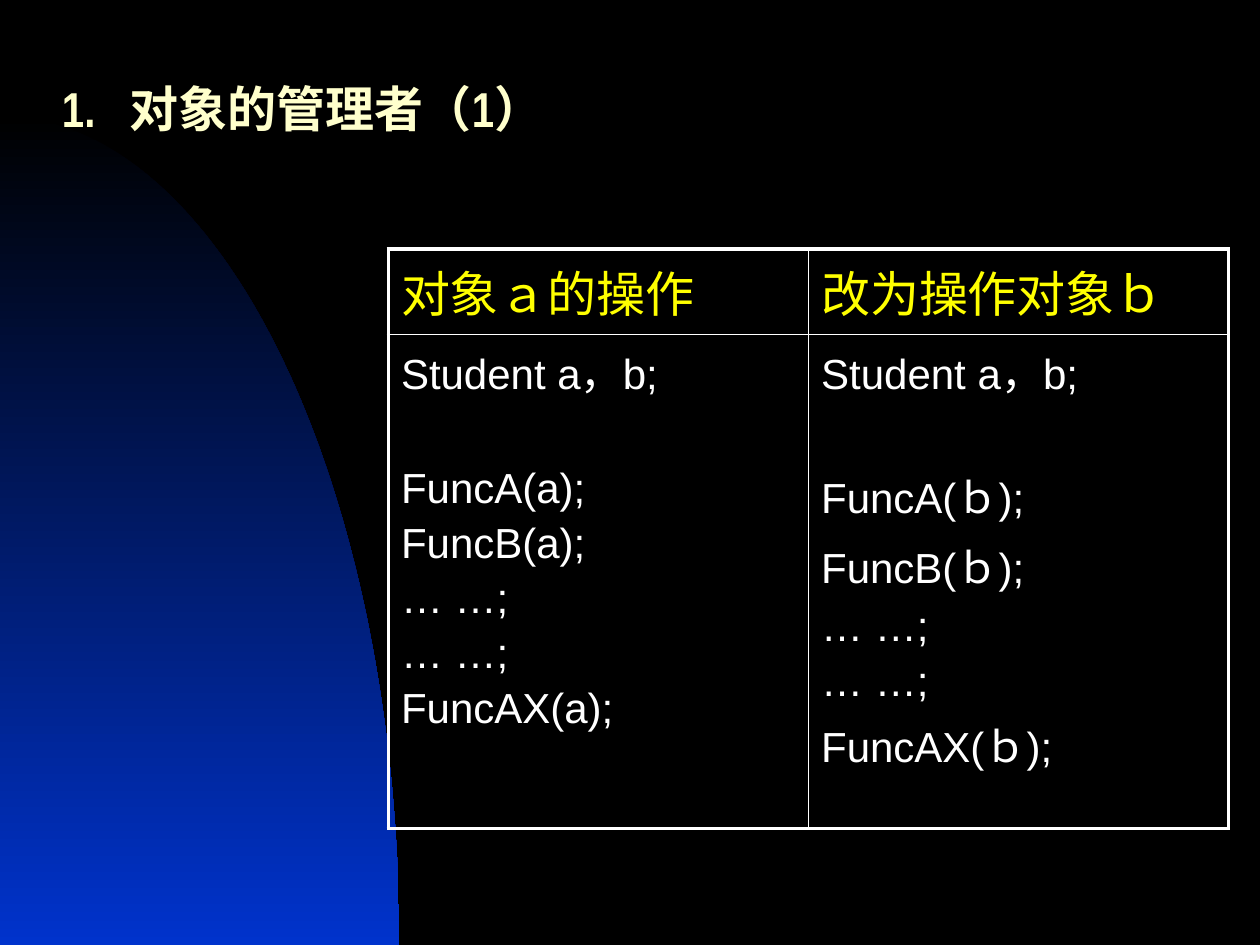
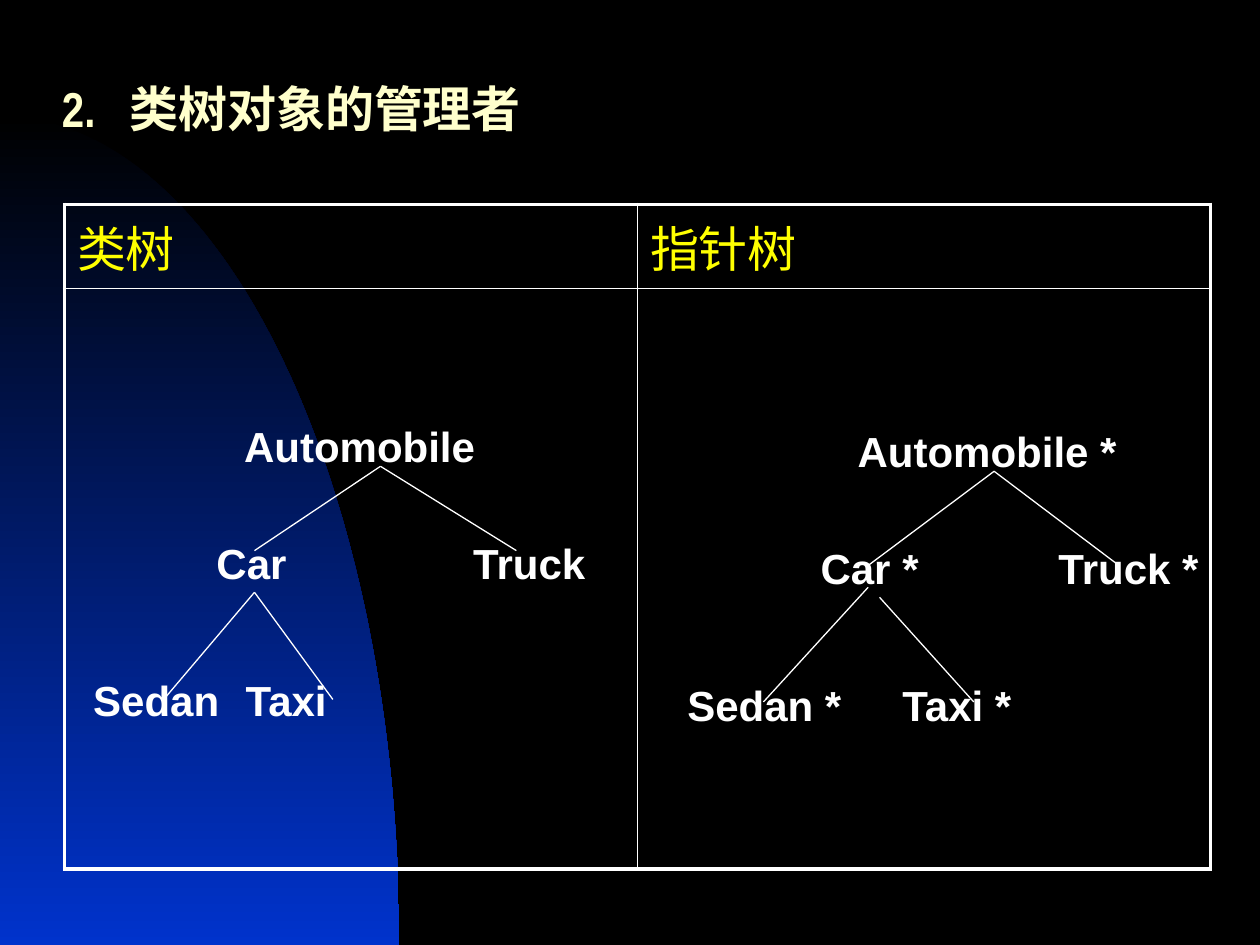
from math import cos, pi, sin

from lxml.etree import SubElement
from pptx import Presentation
from pptx.dml.color import RGBColor
from pptx.enum.shapes import MSO_CONNECTOR
from pptx.enum.text import MSO_ANCHOR, PP_ALIGN
from pptx.oxml.ns import qn
from pptx.util import Cm, Pt

COLORS = {
    "background": "000000",
    "arch": "0033CC",
    "title": "FFFFCC",
    "header": "FFFF00",
    "body": "FFFFFF",
}
CJK_FONT = "Noto Sans CJK SC"
SLIDE_WIDTH, SLIDE_HEIGHT = 25.4, 19.05
OUTER_BORDER, INNER_BORDER = 2.25, 1


def color(name):
    return RGBColor.from_string(COLORS[name])


def style_paragraph(paragraph, text, size, font_name, color_name, bold=False):
    paragraph.text = text
    font = paragraph.font
    font.size, font.name, font.bold = Pt(size), font_name, bold
    font.color.rgb = color(color_name)
    east_asian = SubElement(paragraph._p.pPr.find(qn("a:defRPr")), qn("a:ea"))
    east_asian.set("typeface", CJK_FONT)


# Shared slide parts
def add_arch(slide, left, top, width, height, steps=90):
    """Quarter ellipse that fades from black down to blue."""
    angles = [pi / 2 * step / steps for step in range(steps + 1)]
    points = [
        (Cm(left + width * sin(angle)), Cm(top + height * (1 - cos(angle))))
        for angle in angles
    ]
    builder = slide.shapes.build_freeform(Cm(left), Cm(top + height), scale=1.0)
    builder.add_line_segments(points, close=True)
    arch = builder.convert_to_shape()
    arch.shadow.inherit = False
    arch.line.fill.background()
    arch.fill.gradient()
    arch.fill.gradient_angle = 270
    for stop, name in zip(arch.fill.gradient_stops, ("background", "arch")):
        stop.color.rgb = color(name)


def add_title(slide, number, text, left=1, top=1.32, width=23.5, height=2):
    frame = slide.shapes.add_textbox(
        Cm(left), Cm(top), Cm(width), Cm(height)
    ).text_frame
    frame.word_wrap = True
    frame.vertical_anchor = MSO_ANCHOR.MIDDLE
    paragraph = frame.paragraphs[0]
    paragraph.line_spacing = 0.7
    style_paragraph(paragraph, f"{number}.\t{text}", 28, "Arial Narrow", "title", True)
    # The number hangs to the left of the text
    properties = paragraph._p.pPr
    properties.set("marL", str(Cm(1.36)))
    properties.set("indent", str(-Cm(1.36)))


def add_base_slide(presentation, number, title):
    slide = presentation.slides.add_slide(presentation.slide_layouts[6])
    add_arch(slide, 0, 2.34, 8.05, SLIDE_HEIGHT - 2.34)
    add_title(slide, number, title)
    return slide


# Tables
def set_borders(cell, widths):
    properties = cell._tc.get_or_add_tcPr()
    for position, (side, width) in enumerate(widths.items()):
        line = properties.makeelement(qn(f"a:ln{side}"), {"w": str(Pt(width))})
        fill = SubElement(line, qn("a:solidFill"))
        SubElement(fill, qn("a:srgbClr")).set("val", COLORS["body"])
        properties.insert(position, line)


def add_two_column_table(slide, left, top, width, row_heights, headers):
    table = slide.shapes.add_table(
        2, 2, Cm(left), Cm(top), Cm(width), Cm(sum(row_heights))
    ).table
    table.first_row = table.horz_banding = False
    for row, height in zip(table.rows, row_heights):
        row.height = Cm(height)
    for row in range(2):
        for column in range(2):
            cell = table.cell(row, column)
            cell.fill.background()
            set_borders(cell, {
                "L": INNER_BORDER if column else OUTER_BORDER,
                "R": OUTER_BORDER if column else INNER_BORDER,
                "T": INNER_BORDER if row else OUTER_BORDER,
                "B": OUTER_BORDER if row else INNER_BORDER,
            })
    for column, header in enumerate(headers):
        paragraph = table.cell(0, column).text_frame.paragraphs[0]
        paragraph.space_before = Pt(5.6)
        style_paragraph(paragraph, header, 28, CJK_FONT, "header")
    return table


def fill_code_cell(cell, argument):
    lines = [
        "Student a，b;",
        f"FuncA({argument});",
        f"FuncB({argument});",
        "… …;",
        "… …;",
        f"FuncAX({argument});",
    ]
    frame = cell.text_frame
    for index, line in enumerate(lines):
        paragraph = frame.add_paragraph() if index else frame.paragraphs[0]
        # A wide gap parts the declaration from the calls
        paragraph.space_before = Pt(36.3 if index == 1 else 4.8)
        style_paragraph(paragraph, line, 24, "Arial", "body")


# Class trees
def add_node(slide, center_x, center_y, label):
    width, height = 0.5 * len(label) + 1, 1.2
    frame = slide.shapes.add_textbox(
        Cm(center_x - width / 2), Cm(center_y - height / 2), Cm(width), Cm(height)
    ).text_frame
    frame.margin_left = frame.margin_right = 0
    frame.word_wrap = False
    frame.vertical_anchor = MSO_ANCHOR.MIDDLE
    paragraph = frame.paragraphs[0]
    paragraph.alignment = PP_ALIGN.CENTER
    style_paragraph(paragraph, label, 24, "Arial", "body", True)


def add_branch(slide, start_x, start_y, end_x, end_y):
    branch = slide.shapes.add_connector(
        MSO_CONNECTOR.STRAIGHT, Cm(start_x), Cm(start_y), Cm(end_x), Cm(end_y)
    )
    branch.line.color.rgb = color("body")
    branch.line.width = Pt(0.75)
    SubElement(branch._element.spPr, qn("a:effectLst"))


def add_tree(slide, left, top, root_y, node_centers, branches, suffix=""):
    names = ["Automobile", "Car", "Truck", "Sedan", "Taxi"]
    level_offsets = [0, 2.36, 2.36, 5.12, 5.12]
    for name, center_x, offset in zip(names, node_centers, level_offsets):
        add_node(slide, left + center_x, top + root_y + offset, name + suffix)
    for start_x, start_y, end_x, end_y in branches:
        add_branch(slide, left + start_x, top + start_y, left + end_x, top + end_y)


# Slides
def add_object_manager_slide(presentation):
    slide = add_base_slide(presentation, 1, "对象的管理者（1）")
    table = add_two_column_table(
        slide, 7.83, 5.02, 16.94, (1.72, 9.96), ("对象ａ的操作", "改为操作对象ｂ")
    )
    for column, argument in enumerate(("a", "ｂ")):
        fill_code_cell(table.cell(1, column), argument)


def add_class_tree_slide(presentation):
    slide = add_base_slide(presentation, 2, "类树对象的管理者")
    left, top, width, row_heights = 1.3, 4.12, 23.1, (1.7, 11.7)
    add_two_column_table(slide, left, top, width, row_heights, ("类树", "指针树"))
    body_top = top + row_heights[0]
    add_tree(
        slide, left, body_top, 3.17,
        node_centers=[5.95, 3.77, 9.37, 1.85, 4.47],
        branches=[
            (6.37, 3.58, 3.83, 5.28),
            (6.37, 3.58, 9.11, 5.28),
            (3.83, 6.12, 2, 8.28),
            (3.83, 6.12, 5.41, 8.28),
        ],
    )
    add_tree(
        slide, left + width / 2, body_top, 3.27,
        node_centers=[7.05, 4.68, 9.9, 2.56, 6.44],
        branches=[
            (7.19, 3.68, 4.65, 5.58),
            (7.19, 3.68, 9.68, 5.56),
            (4.65, 6.02, 2.54, 8.33),
            (4.88, 6.22, 6.78, 8.33),
        ],
        suffix=" *",
    )


def main():
    presentation = Presentation()
    presentation.slide_width, presentation.slide_height = Cm(SLIDE_WIDTH), Cm(SLIDE_HEIGHT)
    background = presentation.slide_master.background.fill
    background.solid()
    background.fore_color.rgb = color("background")
    add_object_manager_slide(presentation)
    add_class_tree_slide(presentation)
    presentation.save("out.pptx")


if __name__ == "__main__":
    main()
